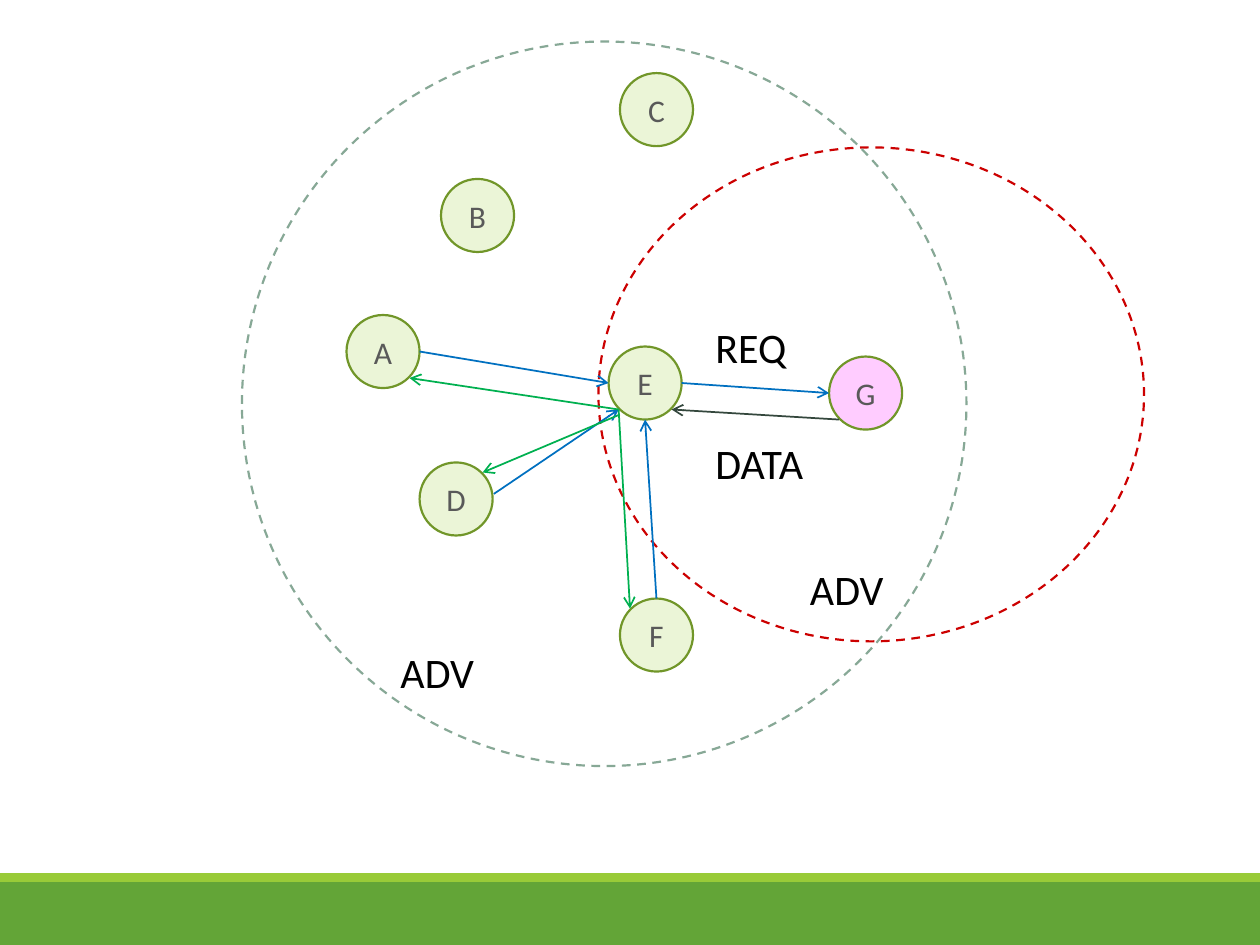
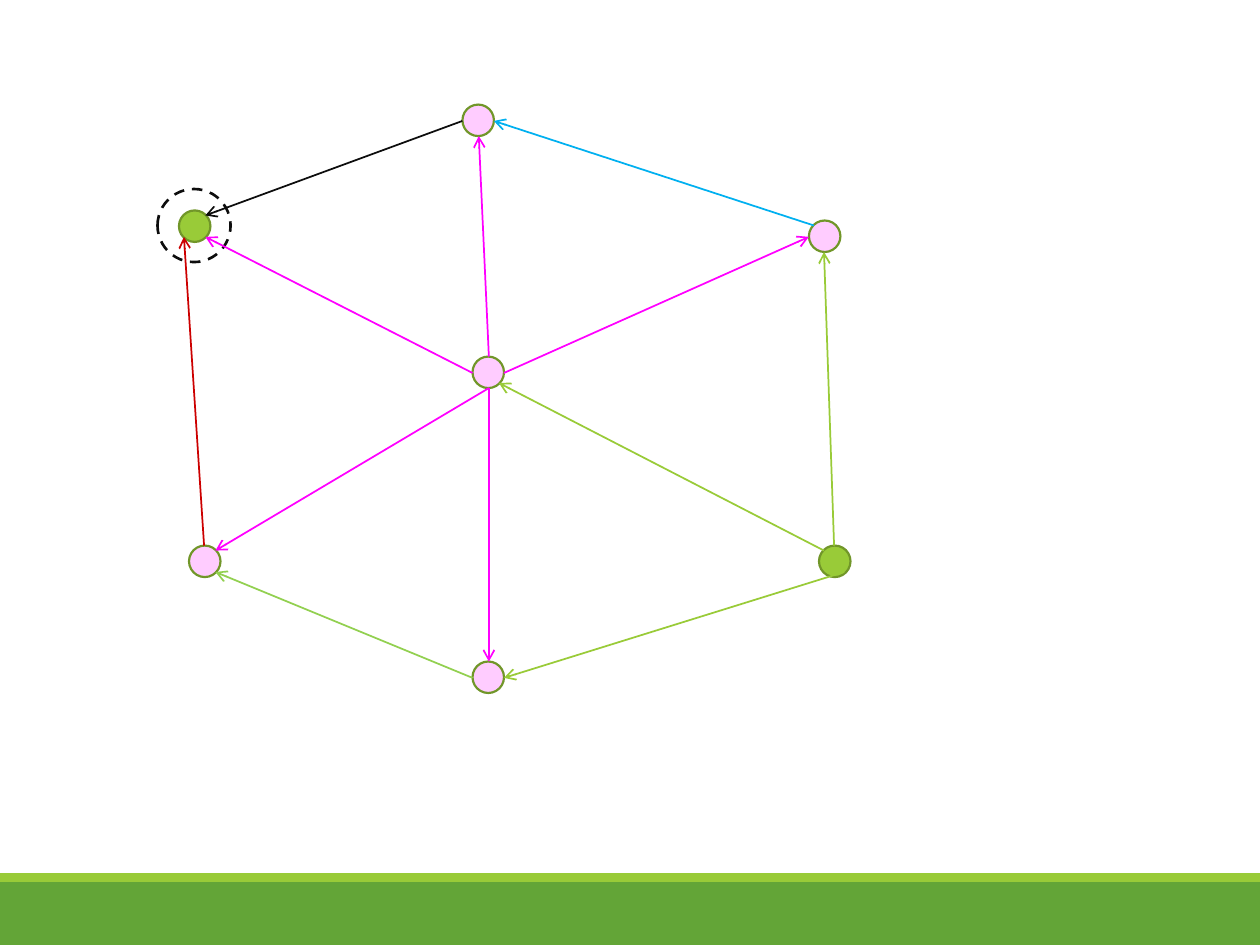
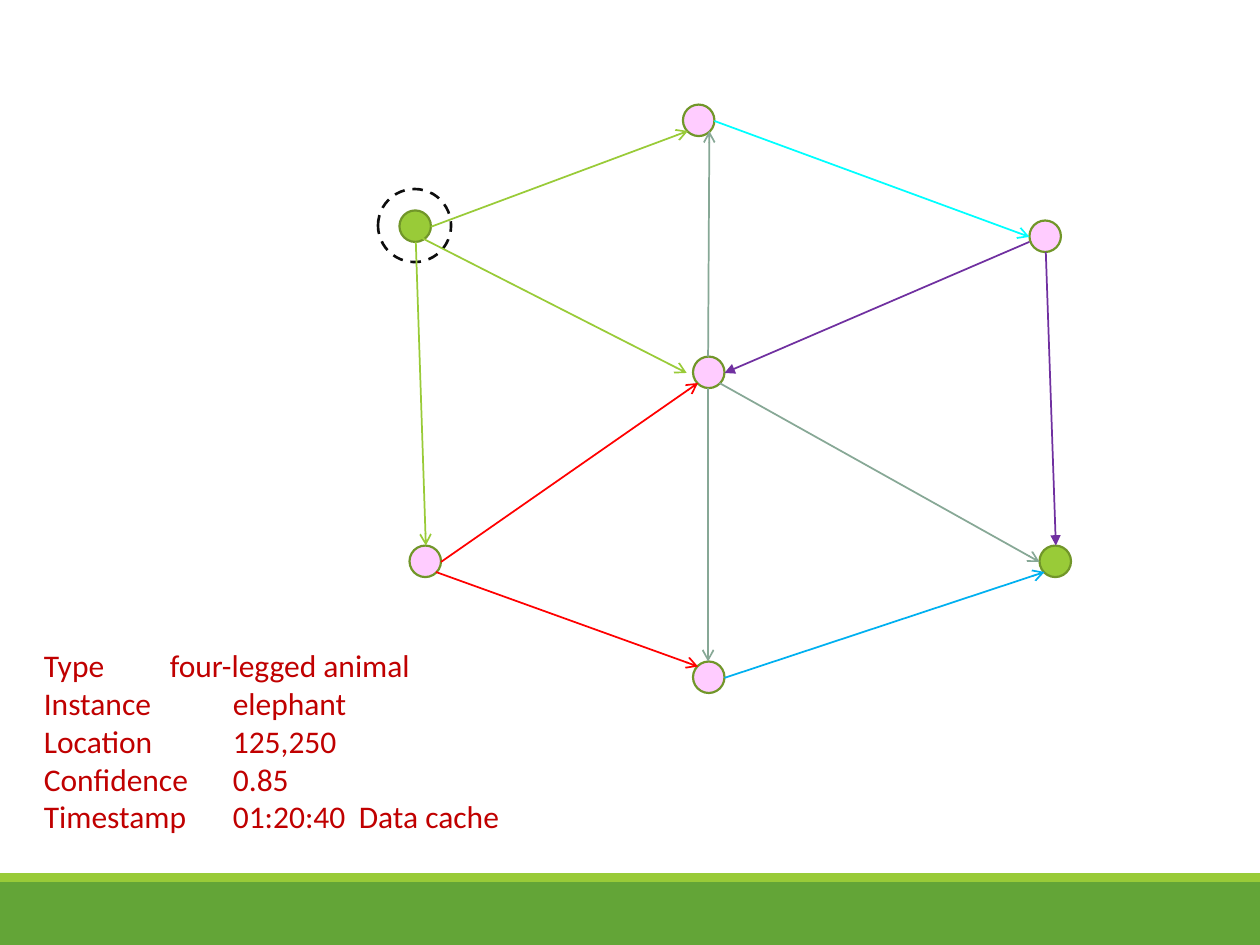
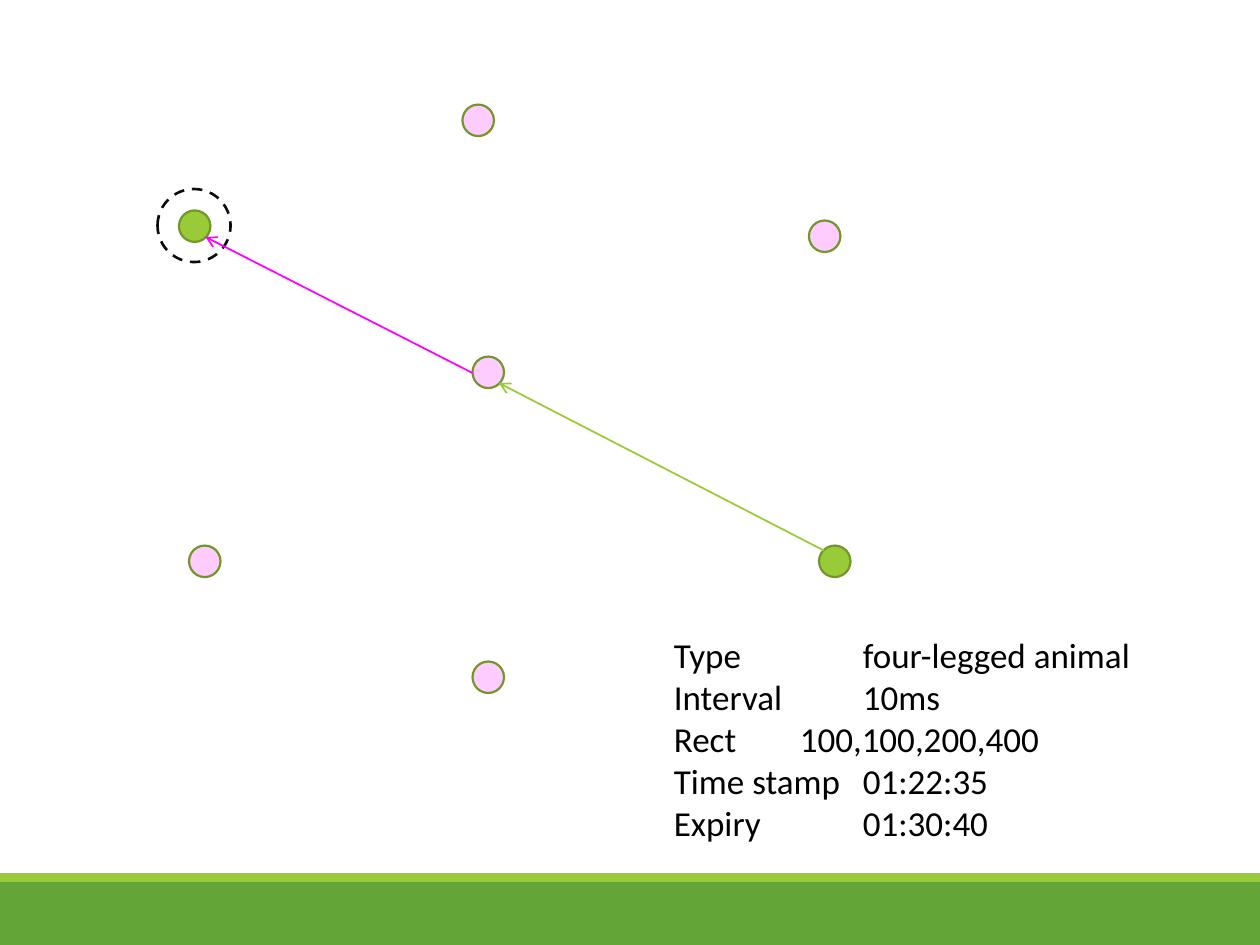
from math import cos, radians, sin

from lxml.etree import SubElement
from pptx import Presentation
from pptx.dml.color import RGBColor
from pptx.enum.dml import MSO_LINE
from pptx.enum.shapes import MSO_CONNECTOR, MSO_SHAPE
from pptx.enum.text import MSO_ANCHOR, MSO_AUTO_SIZE, PP_ALIGN
from pptx.oxml.ns import qn
from pptx.util import Pt

PX = 9144
WIDE, HIGH = 1000, 750

HUES = {
    "band": "63A537", "lime": "99CB38", "rim": "719629", "pale": "EBF5D7",
    "pink": "FFCCFF", "grey": "595959", "black": "000000", "ink": "0D0D0D",
    "red": "CC0000", "wine": "C00000", "scarlet": "FF0000", "blue": "0070C0",
    "sky": "00B0F0", "aqua": "00FFFF", "green": "00B050", "leaf": "92D050",
    "slate": "34473D", "sage": "87A896", "rose": "FF00FF", "plum": "7030A0",
}

TURNS = {"e": 0, "se": 45, "s": 90, "sw": 135, "w": 180, "nw": 225, "n": 270, "ne": 315}

FONTS = {
    "node": {"name": "Calibri", "size": Pt(18)},
    "label": {"name": "Calibri", "size": Pt(24)},
    "cache": {"name": "Calibri", "size": Pt(18)},
    "query": {"name": "Calibri", "size": Pt(20)},
}

SPIN_NODES = {
    "A": (275, 250), "B": (350, 142), "D": (333, 367), "E": (483, 275),
    "C": (492, 58), "F": (492, 475), "G": (658, 283),
}
SPIN_LINKS = [
    ("E.e", "G.w", "blue"), ("G.sw", "E.se", "slate"), ("A.e", "E.w", "blue"),
    ((392, 392), "E.sw", "blue"), ("F.n", "E.s", "blue"), ("E.sw", "A.se", "green"),
    ((492, 329), "D.ne", "green"), ("E.sw", "F.nw", "green"),
]
SPIN_LABELS = [
    ("ADV", 633, 442, 91), ("REQ", 558, 250, 89),
    ("DATA", 558, 342, 109), ("ADV", 308, 508, 91),
]

MESH_NODES = {
    "source": (142, 167), "sink": (650, 433), "right": (642, 175), "top": (367, 83),
    "mid": (375, 283), "base": (375, 525), "left": (150, 433),
}
FLOOD_LINKS = [
    ("sink.nw", "mid.se", "lime"), ((670, 454), "base.e", "lime"),
    ("sink.n", "right.s", "lime"), ("mid.n", "top.s", "rose"),
    ("mid.e", "right.w", "rose"), ("mid.s", "base.n", "rose"),
    ("mid.s", "left.ne", "rose"), ("mid.w", "source.se", "rose"),
    ("right.nw", "top.e", "sky"), ("base.w", "left.se", "leaf"),
    ("top.w", "source.ne", "ink"), ("left.n", "source.sw", "red"),
]
SPREAD_LINKS = [
    ((333, 188), (545, 296), "lime"), ("source.s", "left.n", "lime"),
    ("source.e", "top.sw", "lime"), ("left.e", "mid.sw", "scarlet"),
    ("left.se", "base.nw", "scarlet"), ("mid.n", "top.se", "sage"),
    ("mid.s", "base.n", "sage"), ("mid.se", "sink.w", "sage"),
    ("top.e", "right.w", "aqua"), ("base.e", "sink.sw", "sky"),
    ("right.s", "sink.n", "plum", "triangle"),
    ((817, 192), "mid.e", "plum", "triangle"),
]
PATH_LINKS = [("sink.nw", "mid.se", "lime"), ("mid.w", "source.se", "rose")]

CACHE_ROWS = [
    "Type\t\tfour-legged animal", "Instance\t\telephant", "Location\t\t125,250",
    "Confidence\t0.85", "Timestamp\t01:20:40\tData cache",
]
QUERY_ROWS = [
    "Type\t\tfour-legged animal", "Interval\t\t10ms", "Rect\t\t100,100,200,400",
    "Time stamp\t01:22:35", "Expiry\t\t01:30:40",
]


def rgb(hue):
    return RGBColor.from_string(HUES[hue])


class Deck:
    def __init__(self):
        self.file = Presentation()
        self.file.slide_width, self.file.slide_height = WIDE * PX, HIGH * PX
        self.slide = None
        self.spots = {}

    def page(self):
        self.slide = self.file.slides.add_slide(self.file.slide_layouts[6])
        self.spots = {}

    def shape(self, kind, box, fill=None, rim=None, thick=1.25, dash=False):
        item = self.slide.shapes.add_shape(kind, *(n * PX for n in box))
        item.shadow.inherit = False
        if fill:
            item.fill.solid()
            item.fill.fore_color.rgb = rgb(fill)
        else:
            item.fill.background()
        if rim:
            item.line.color.rgb = rgb(rim)
            item.line.width = Pt(thick)
        else:
            item.line.fill.background()
        if dash:
            item.line.dash_style = MSO_LINE.DASH
        return item

    def bands(self):
        tree = self.file.slide_master.shapes.element
        for key, (top, high, hue) in enumerate([(700, 50, "band"), (693, 7, "lime")]):
            band = self.shape(MSO_SHAPE.RECTANGLE, (0, top, WIDE, high), hue).element
            band.nvSpPr.cNvPr.set("id", str(20 + key))
            tree.insert(2 + key, band)

    def rows(self, frame, lines, style, hue, align=PP_ALIGN.LEFT):
        for i, line in enumerate(lines):
            para = frame.add_paragraph() if i else frame.paragraphs[0]
            para.alignment = align
            run = para.add_run()
            run.text = line
            for key, value in FONTS[style].items():
                setattr(run.font, key, value)
            run.font.color.rgb = rgb(hue)

    def text(self, lines, box, style, hue="black", wrap=False):
        frame = self.slide.shapes.add_textbox(*(n * PX for n in box)).text_frame
        frame.word_wrap = wrap
        frame.auto_size = MSO_AUTO_SIZE.SHAPE_TO_FIT_TEXT
        self.rows(frame, lines, style, hue)

    def ring(self, left, top, wide, high, hue, thick=1.25):
        self.shape(MSO_SHAPE.OVAL, (left, top, wide, high), None, hue, thick, True)

    def node(self, name, left, top, size, fill, label=None):
        item = self.shape(MSO_SHAPE.OVAL, (left, top, size, size), fill, "rim")
        self.spots[name] = (left + size / 2, top + size / 2, size / 2)
        if label:
            item.text_frame.vertical_anchor = MSO_ANCHOR.MIDDLE
            self.rows(item.text_frame, [label], "node", "grey", PP_ALIGN.CENTER)

    def point(self, end):
        if isinstance(end, tuple):
            return end
        name, side = end.split(".")
        x, y, reach = self.spots[name]
        turn = radians(TURNS[side])
        return round(x + reach * cos(turn)), round(y + reach * sin(turn))

    def link(self, start, end, hue, head="arrow"):
        ends = [n * PX for n in self.point(start) + self.point(end)]
        item = self.slide.shapes.add_connector(MSO_CONNECTOR.STRAIGHT, *ends)
        item.line.color.rgb = rgb(hue)
        item.line.width = Pt(1)
        look = item.element.spPr
        SubElement(look.find(qn("a:ln")), qn("a:tailEnd"), type=head)
        SubElement(look, qn("a:effectLst"))

    def links(self, ends):
        for row in ends:
            self.link(*row)

    def mesh(self, ends, shift=0):
        self.page()
        self.ring(125 + shift, 150, 58, 58, "ink", 1.5)
        for name, (left, top) in MESH_NODES.items():
            fill = "lime" if name in ("source", "sink") else "pink"
            self.node(name, left + shift, top, 25, fill)
        self.links(ends)


def main():
    deck = Deck()
    deck.page()
    deck.bands()
    for name, (left, top) in SPIN_NODES.items():
        deck.node(name, left, top, 58, "pink" if name == "G" else "pale", name)
    deck.ring(475, 117, 433, 392, "red")
    deck.ring(192, 33, 575, 575, "sage")
    deck.links(SPIN_LINKS)
    for label, left, top, wide in SPIN_LABELS:
        deck.text([label], (left, top, wide, 51), "label")

    deck.mesh(FLOOD_LINKS)

    deck.mesh(SPREAD_LINKS, 175)
    deck.text(CACHE_ROWS, (25, 508, 500, 162), "cache", "wine", True)

    deck.mesh(PATH_LINKS)
    deck.text(QUERY_ROWS, (525, 498, 426, 219), "query")

    deck.file.save("out.pptx")


if __name__ == "__main__":
    main()
